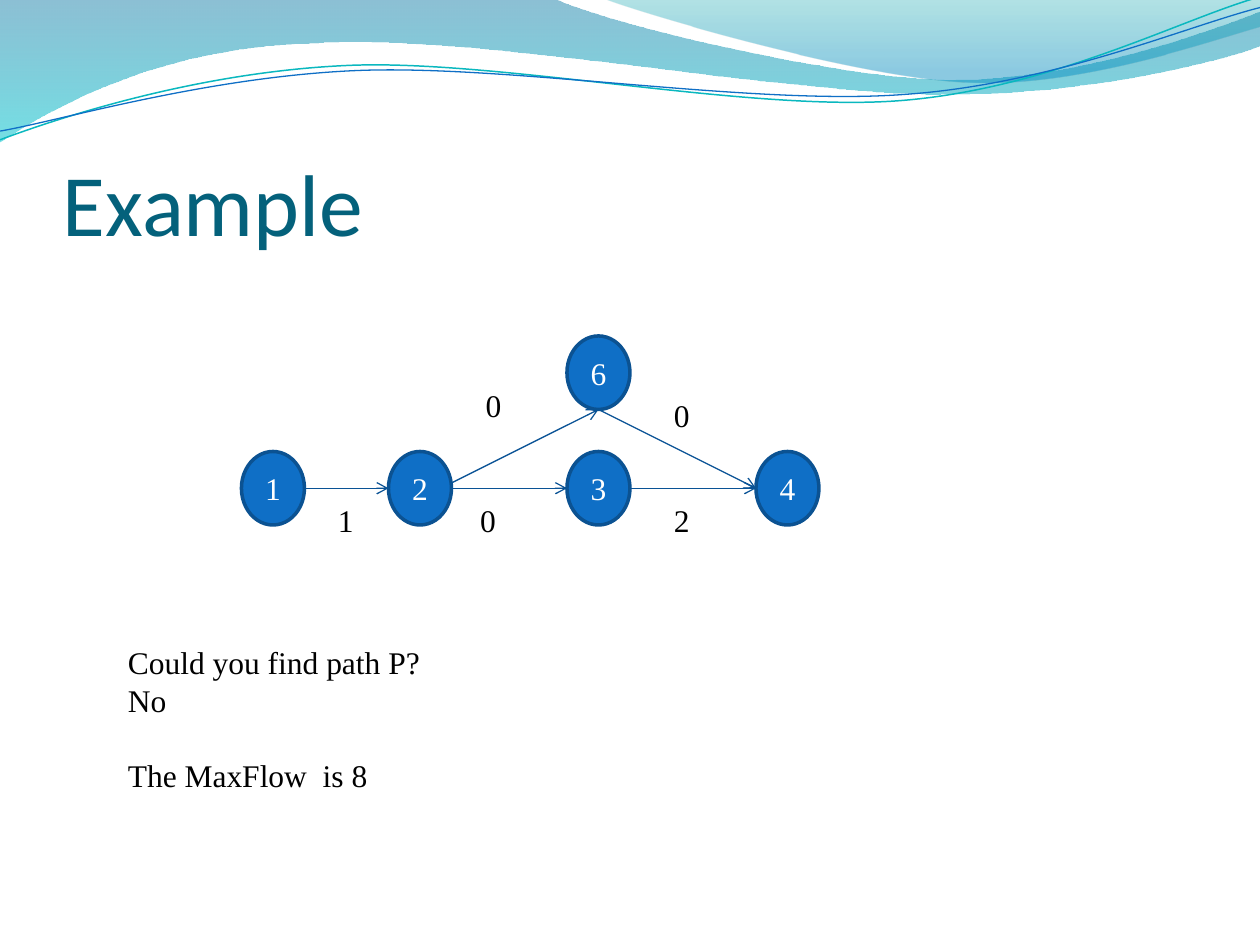
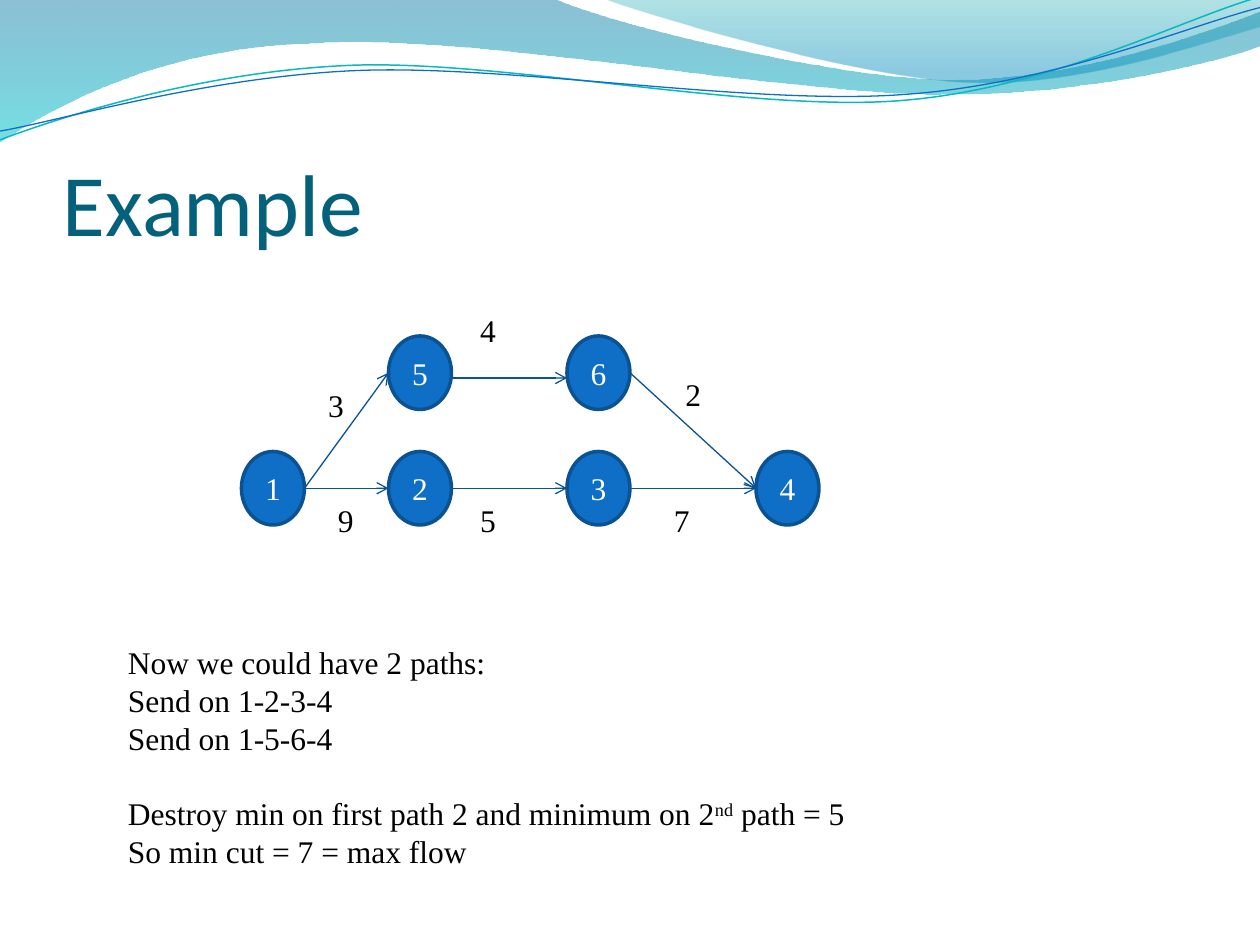
from pptx import Presentation
from pptx.dml.color import RGBColor
from pptx.enum.shapes import MSO_CONNECTOR, MSO_SHAPE
from pptx.enum.text import MSO_ANCHOR, MSO_AUTO_SIZE, PP_ALIGN
from pptx.oxml.ns import qn
from pptx.util import Pt
from lxml.etree import SubElement

# Shared style
SERIF, SANS = "Times New Roman", "Calibri"
BLACK, WHITE, TEAL = "000000", "FFFFFF", "04617B"
BLUE, RIM, EDGE = "0F6FC6", "0B5292", "095295"
LINE_GAP = 21.6

# Graph grid: left edge of each column, top of each row
COLS = [138, 222, 324, 432]
TOP, LOW = 192, 258
NODE_W, NODE_H = 36, 42
MID = LOW + NODE_H / 2
BASE = [("1", 0, LOW), ("2", 1, LOW), ("3", 2, LOW), ("4", 3, LOW)]
LABEL_X = [186, 267.3, 378]

# Waves: a pair is a straight step, six numbers are a curve
BANDS = [
    ([(0, 0), (316.8, -0.7), (342.7, 12.2, 478.1, 45.4, 545.8, 45.4),
      (614.2, 45.4, 689.8, 18.7, 720, 6.5), (720.7, 25.9),
      (707.8, 31.7, 626.4, 54.7, 537.1, 54),
      (447.8, 54, 275, 20.2, 185, 24.5),
      (92.9, 25.9, 33.1, 59.8, -0.7, 81.4), (0, 0)],
     [(0, "0074A1", 45), (1, "00C6CF", 55)]),
    ([(344.9, -0.7), (366.5, 7.9, 491, 44.6, 553.7, 46.8),
      (616.3, 49.7, 691.9, 23, 720, 15.1), (720, 0), (344.9, -0.7)],
     [(0, "00A1A9", 30), (0.8, "008BBF", 45)]),
]
CURVES = [
    ([(0, 79.9), (34.6, 67, 113.8, 41, 199.4, 37.4),
      (284.4, 33.8, 427, 64.1, 513.4, 57.6),
      (599.8, 51.1, 675.4, 10.8, 718.6, -1.4)], "0AB8BF", 0.85),
    ([(0, 74.9), (33.8, 69.1, 118.1, 43.9, 203.8, 40.3),
      (290.2, 36.7, 429.8, 60.5, 516.2, 54),
      (601.9, 48.2, 677.5, 15.1, 720, 4.3)], BLUE, 0.75),
]


def rgb(code):
    return RGBColor.from_string(code)


# Text
def add_run(para, text, size, font, color, base=0):
    run = para.add_run()
    run.text = text
    run.font.size = Pt(size)
    run.font.name = font
    run.font.color.rgb = rgb(color)
    if base:
        run.font._element.set("baseline", str(base * 1000))


def add_box(slide, x, y, w, h, wrap=True):
    box = slide.shapes.add_textbox(Pt(x), Pt(y), Pt(w), Pt(h))
    box.text_frame.word_wrap = wrap
    return box.text_frame


def add_title(slide, text):
    frame = add_box(slide, 36, 55.4, 648, 90)
    frame.vertical_anchor = MSO_ANCHOR.BOTTOM
    frame.margin_left = frame.margin_right = frame.margin_bottom = 0
    add_run(frame.paragraphs[0], text, 50, SANS, TEAL)


def add_label(slide, text, x, y):
    frame = add_box(slide, x, y, 24, 28.8, wrap=False)
    frame.auto_size = MSO_AUTO_SIZE.SHAPE_TO_FIT_TEXT
    para = frame.paragraphs[0]
    para.line_spacing = Pt(LINE_GAP)
    add_run(para, text, 18, SERIF, BLACK)


def add_notes(slide, width, height, groups):
    """Groups of lines stand one line apart; a line is a list of runs."""
    frame = add_box(slide, 66, 363.9, width, height)
    para = None
    for group in groups:
        for i, line in enumerate(group):
            first = para is None
            para = frame.paragraphs[0] if first else frame.add_paragraph()
            para.line_spacing = Pt(LINE_GAP)
            if i == 0 and not first:
                para.space_before = Pt(LINE_GAP)
            for text, base in line:
                add_run(para, text, 18, SERIF, BLACK, base)


# Waves
def add_wave(slide, steps, closed):
    """Lay out every point, then join each three of a curve into a Bezier."""
    points = [(Pt(x), Pt(y)) for step in steps
              for x, y in zip(step[::2], step[1::2])]
    pen = slide.shapes.build_freeform(*points[0], scale=1.0)
    pen.add_line_segments(points[1:], close=closed)
    wave = pen.convert_to_shape()
    wave.shadow.inherit = False
    legs = wave.element.spPr.iter(qn("a:lnTo"))
    legs = iter(list(legs))
    for step in steps[1:]:
        leg = next(legs)
        if len(step) == 6:
            bend = SubElement(leg.getparent(), qn("a:cubicBezTo"))
            leg.addprevious(bend)
            for part in (leg, next(legs), next(legs)):
                bend.append(part[0])
                part.getparent().remove(part)
    return wave


def add_waves(slide):
    for steps, stops in BANDS:
        band = add_wave(slide, steps, True)
        band.line.fill.background()
        band.fill.gradient()
        band.fill.gradient_angle = 270
        for stop, (place, color, alpha) in zip(band.fill.gradient_stops, stops):
            stop.position = place
            stop.color.rgb = rgb(color)
        tints = band.element.spPr.iter(qn("a:srgbClr"))
        for tint, (place, color, alpha) in zip(tints, stops):
            SubElement(tint, qn("a:alpha"), val=str(alpha * 1000))
    for steps, color, width in CURVES:
        curve = add_wave(slide, steps, False)
        curve.fill.background()
        curve.line.color.rgb = rgb(color)
        curve.line.width = Pt(width)


# Graph
def add_node(slide, name, col, y):
    node = slide.shapes.add_shape(MSO_SHAPE.OVAL, Pt(COLS[col]), Pt(y),
                                  Pt(NODE_W), Pt(NODE_H))
    node.shadow.inherit = False
    node.fill.solid()
    node.fill.fore_color.rgb = rgb(BLUE)
    node.line.color.rgb = rgb(RIM)
    node.line.width = Pt(2)
    frame = node.text_frame
    frame.margin_left = frame.margin_right = 0
    frame.vertical_anchor = MSO_ANCHOR.MIDDLE
    para = frame.paragraphs[0]
    para.alignment = PP_ALIGN.CENTER
    para.line_spacing = Pt(LINE_GAP)
    add_run(para, name, 18, SERIF, WHITE)


def add_edge(slide, x1, y1, x2, y2):
    edge = slide.shapes.add_connector(MSO_CONNECTOR.STRAIGHT,
                                      Pt(x1), Pt(y1), Pt(x2), Pt(y2))
    edge.line.color.rgb = rgb(EDGE)
    edge.line.width = Pt(0.75)
    props = edge.element.spPr
    SubElement(props.find(qn("a:ln")), qn("a:tailEnd"), type="arrow")
    SubElement(props, qn("a:effectLst"))


def add_graph(slide, loads, nodes, edges, labels):
    """The row 1-2-3-4 with its loads, then the upper branch."""
    for node in BASE + nodes:
        add_node(slide, *node)
    row = [(a + NODE_W, MID, b, MID) for a, b in zip(COLS, COLS[1:])]
    for edge in row + edges:
        add_edge(slide, *edge)
    for load, x in zip(loads, LABEL_X):
        add_label(slide, load, x, 283)
    for label in labels:
        add_label(slide, *label)


def add_page(deck):
    slide = deck.slides.add_slide(deck.slide_layouts[6])
    add_waves(slide)
    add_title(slide, "Example")
    return slide


def main():
    deck = Presentation()
    deck.slide_width, deck.slide_height = Pt(720), Pt(540)
    ends = [x + NODE_W for x in COLS]
    high = TOP + NODE_H / 2

    # No path is left
    slide = add_page(deck)
    peak = (COLS[2] + NODE_W / 2, TOP + NODE_H)
    add_graph(slide, "102", [("6", 2, TOP)],
              [(ends[1], 276, *peak), (*peak, COLS[3], MID)],
              [("0", 270.4, 217), ("0", 378, 222.9)])
    add_notes(slide, 234.7, 94.3, [
        [[("Could you find path P?", 0)], [("No", 0)]],
        [[("The MaxFlow  is 8", 0)]]])

    # Two paths and the cut
    slide = add_page(deck)
    add_graph(slide, "957", [("5", 1, TOP), ("6", 2, TOP)],
              [(ends[0], MID, COLS[1], high),
               (ends[1], 216, COLS[2], 216),
               (ends[2], high, COLS[3], MID)],
              [("3", 180.4, 217), ("4", 267.3, 174.2), ("2", 384.5, 211)])
    add_notes(slide, 486, 159.8, [
        [[("Now we could have 2 paths:", 0)],
         [("Send on 1-2-3-4", 0)], [("Send on 1-5-6-4", 0)]],
        [[("Destroy min on first path 2 and minimum on 2", 0),
          ("nd", 30), (" path = 5", 0)],
         [("So min cut = 7 = max flow", 0)]]])

    deck.save("out.pptx")


if __name__ == "__main__":
    main()
